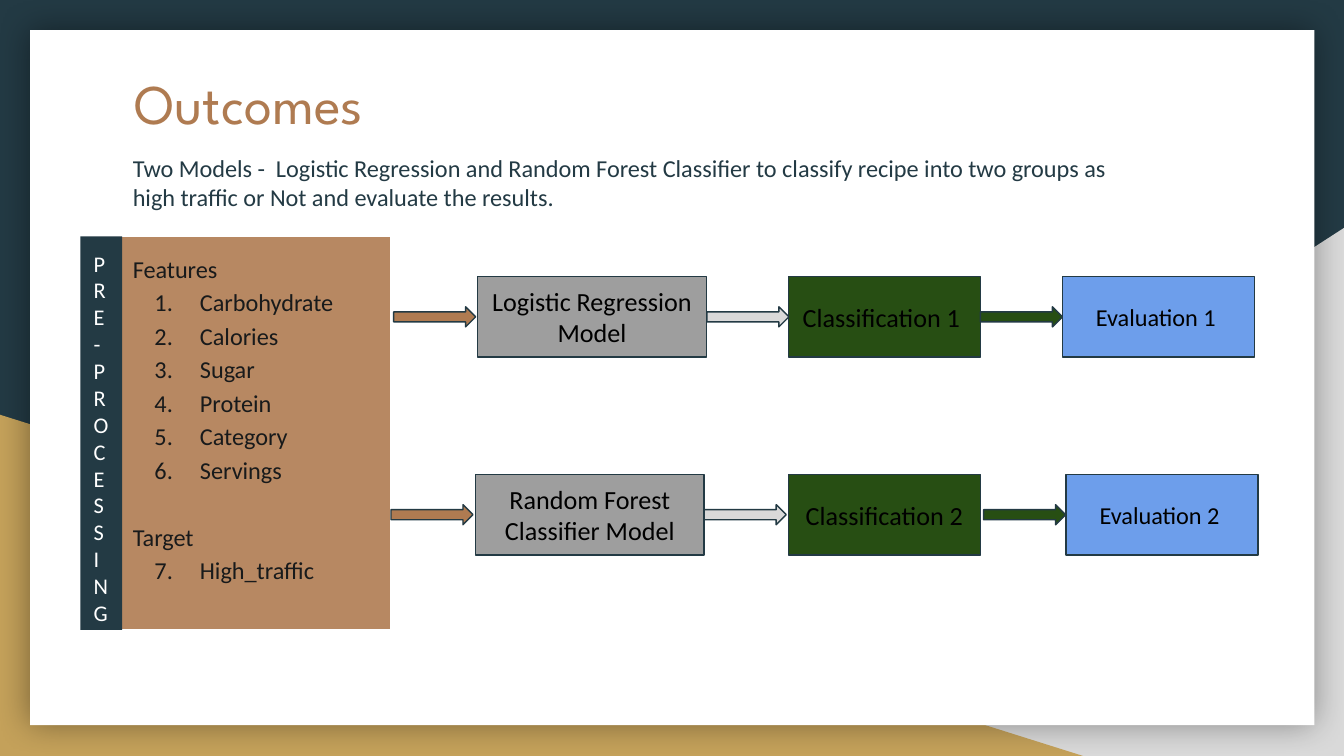
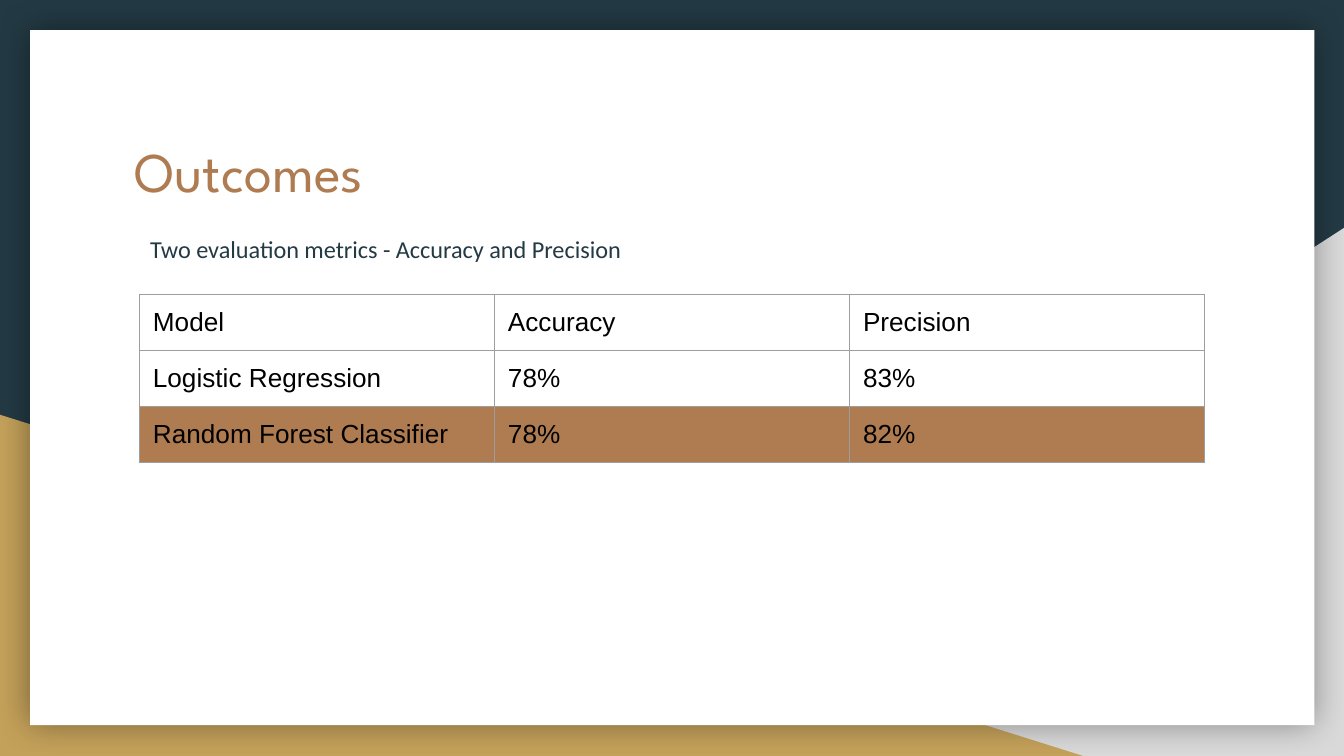
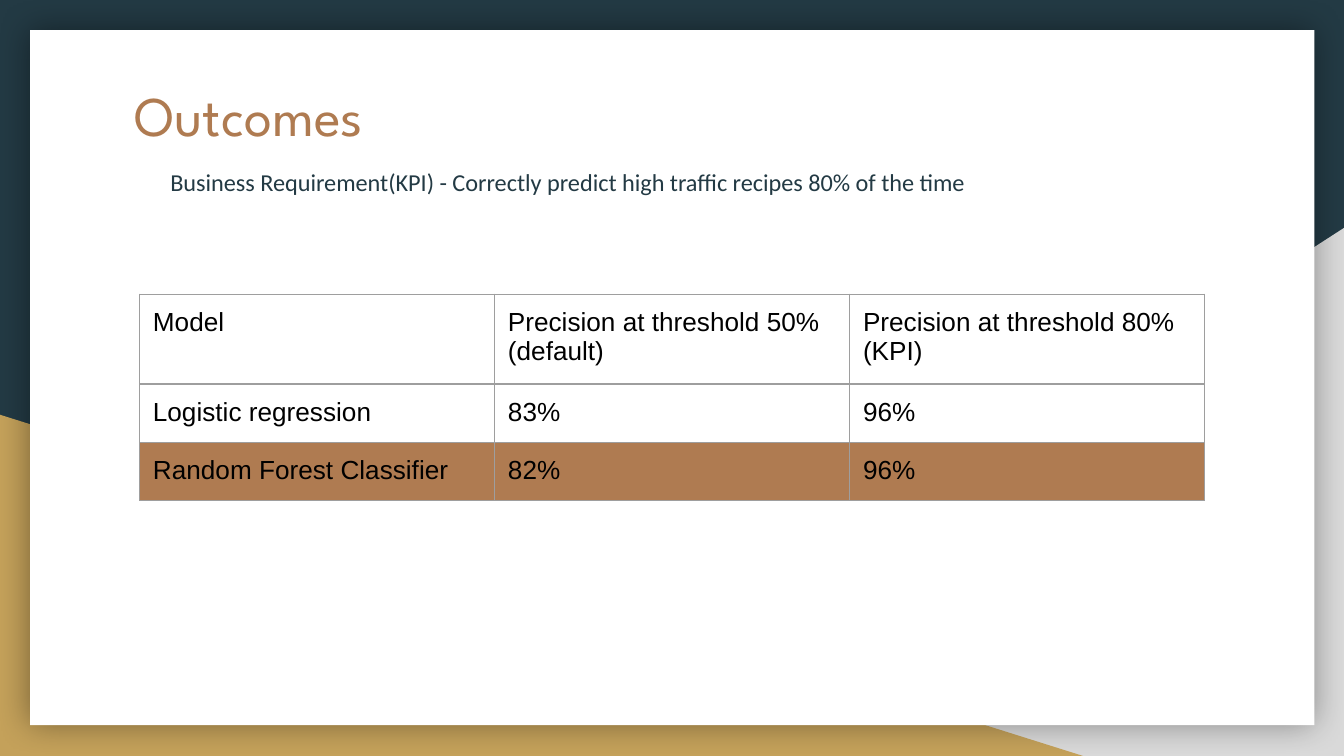
import dataclasses

import lxml.etree
import pptx
import pptx.dml.color
import pptx.enum.shapes
import pptx.enum.text
import pptx.oxml.ns
import pptx.util

Cm = pptx.util.Cm
Pt = pptx.util.Pt
qn = pptx.oxml.ns.qn
MSO_SHAPE = pptx.enum.shapes.MSO_SHAPE
ANCHOR = pptx.enum.text.MSO_ANCHOR
ALIGN = pptx.enum.text.PP_ALIGN

WIDTH, HEIGHT = 25.4, 14.29


@dataclasses.dataclass(frozen=True)
class Theme:
    navy: str = "233A44"
    copper: str = "AF7B51"
    light_copper: str = "B78862"
    gold: str = "C4A15A"
    light_grey: str = "D9D9D9"
    grey: str = "9E9E9E"
    green: str = "274E13"
    blue: str = "6D9EEB"
    white: str = "FFFFFF"
    black: str = "000000"
    ink: str = "181A1B"
    title_font: str = "League Spartan"
    body_font: str = "Calibri"
    table_font: str = "Arial"
    title_size: int = 30
    large: int = 14
    body: int = 13
    small: int = 12
    line: float = 0.75
    inset: float = 0.25


def rgb(color):
    return pptx.dml.color.RGBColor.from_string(color)


def add_xml(parent, tag, **attributes):
    return lxml.etree.SubElement(parent, qn(tag), attributes)


class Deck:
    def __init__(self, theme):
        self.theme = theme
        self.prs = pptx.Presentation()
        self.prs.slide_width, self.prs.slide_height = Cm(WIDTH), Cm(HEIGHT)
        self.layout = self.prs.slide_layouts[5]
        self.slide = None

    def add_slide(self, title, top):
        t = self.theme
        first = self.slide is None
        self.slide = self.prs.slides.add_slide(self.layout)
        if first:
            self.style_layout()
        sp = self.slide.shapes.title
        sp.left, sp.top, sp.width, sp.height = Cm(2.29), Cm(top), Cm(20.85), Cm(2.64)
        self.set_text(sp.text_frame, [title], t.title_size, t.copper, font=t.title_font)

    def style_layout(self):
        """Move the backdrop, drawn on the first slide, behind the layout's title."""
        t = self.theme
        for sp in list(self.layout.placeholders)[1:]:
            sp.element.getparent().remove(sp.element)
        fill = self.layout.background.fill
        fill.solid()
        fill.fore_color.rgb = rgb(t.navy)

        triangle = MSO_SHAPE.RIGHT_TRIANGLE
        right = self.shape(triangle, WIDTH - 15.44, HEIGHT - 9.98, 15.44, 9.98, t.light_grey)
        right.element.spPr.xfrm.set("flipH", "1")
        left = self.shape(triangle, 0, HEIGHT - 6.45, 20.47, 6.45, t.gold)
        card = self.shape(MSO_SHAPE.RECTANGLE, 0.57, 0.57, 24.27, 13.14, t.white)
        shadow = add_xml(card.element.spPr.find(qn("a:effectLst")), "a:outerShdw",
                         blurRad=str(Pt(18)), dist="0", dir="0", algn="ctr", rotWithShape="0")
        color = add_xml(shadow, "a:srgbClr", val=t.black)
        add_xml(color, "a:alpha", val="40000")
        for i, sp in enumerate((right, left, card)):
            self.layout.shapes.element.insert(2 + i, sp.element)

    def set_text(self, tf, lines, size, color, align=ALIGN.LEFT, anchor=ANCHOR.TOP, font=None):
        tf.word_wrap = True
        tf.auto_size = pptx.enum.text.MSO_AUTO_SIZE.NONE
        tf.vertical_anchor = anchor
        tf.margin_left = tf.margin_right = Cm(self.theme.inset)
        tf.margin_top = tf.margin_bottom = Cm(self.theme.inset)
        tf.text = "\n".join(lines)
        for p in tf.paragraphs:
            p.alignment = align
            self.set_font(p, size, color, font or self.theme.body_font)

    def set_font(self, p, size, color, name):
        p.font.size = Pt(size)
        p.font.name = name
        p.font.color.rgb = rgb(color)

    def shape(self, kind, x, y, w, h, fill, line=None):
        sp = self.slide.shapes.add_shape(kind, Cm(x), Cm(y), Cm(w), Cm(h))
        sp.shadow.inherit = False
        sp.fill.solid()
        sp.fill.fore_color.rgb = rgb(fill)
        if line:
            sp.line.color.rgb = rgb(line)
            sp.line.width = Pt(self.theme.line)
        else:
            sp.line.fill.background()
        return sp

    def box(self, x, y, w, h, fill, lines, size):
        sp = self.shape(MSO_SHAPE.RECTANGLE, x, y, w, h, fill, self.theme.navy)
        self.set_text(sp.text_frame, lines, size, self.theme.black, ALIGN.CENTER, ANCHOR.MIDDLE)

    def arrow(self, x, y, w, h, fill):
        self.shape(MSO_SHAPE.RIGHT_ARROW, x, y, w, h, fill, self.theme.navy)

    def text(self, x, y, w, h, line):
        sp = self.slide.shapes.add_textbox(Cm(x), Cm(y), Cm(w), Cm(h))
        self.set_text(sp.text_frame, [line], self.theme.body, self.theme.navy)

    def number(self, p, value):
        pPr = p._p.get_or_add_pPr()
        pPr.set("marL", str(Cm(1.27)))
        pPr.set("indent", str(-Cm(0.86)))
        color = lxml.etree.Element(qn("a:buClr"))
        add_xml(color, "a:srgbClr", val=self.theme.ink)
        bullet = lxml.etree.Element(qn("a:buAutoNum"), type="arabicPeriod")
        if value > 1:
            bullet.set("startAt", str(value))
        font = pPr.find(qn("a:defRPr"))
        font.addprevious(color)
        font.addprevious(bullet)

    def feature_panel(self, x, y, w, h, features, target):
        t = self.theme
        sp = self.shape(MSO_SHAPE.RECTANGLE, x, y, w, h, t.light_copper, t.white)
        self.set_text(sp.text_frame, ["Features", *features, "Target", target], t.body, t.ink)
        paragraphs = sp.text_frame.paragraphs
        for p in paragraphs:
            p.line_spacing = 1.15
        paragraphs[-2].space_before = Pt(18)
        for p in paragraphs[1:-2]:
            self.number(p, 1)
        self.number(paragraphs[-1], len(features) + 1)

    def table(self, rows, heights):
        """Table whose last row is highlighted."""
        t = self.theme
        columns = len(rows[0])
        column_width = 6.71
        frame = self.slide.shapes.add_table(len(rows), columns, Cm(2.64), Cm(5.56),
                                            Cm(column_width * columns), Cm(sum(heights)))
        table = frame.table
        table.first_row = table.horz_banding = False
        for column in table.columns:
            column.width = Cm(column_width)
        for i, (values, height) in enumerate(zip(rows, heights)):
            table.rows[i].height = Cm(height)
            for j, value in enumerate(values):
                cell = table.cell(i, j)
                cell.text = value
                cell.margin_left = cell.margin_right = Cm(t.inset)
                cell.margin_top = cell.margin_bottom = Cm(t.inset)
                self.set_font(cell.text_frame.paragraphs[0], t.large, t.black, t.table_font)
                self.border(cell)
                if i == len(rows) - 1:
                    cell.fill.solid()
                    cell.fill.fore_color.rgb = rgb(t.copper)
                else:
                    cell.fill.background()

    def border(self, cell):
        tcPr = cell._tc.get_or_add_tcPr()
        for side in ("a:lnL", "a:lnR", "a:lnT", "a:lnB"):
            ln = add_xml(tcPr, side, w=str(Pt(self.theme.line)))
            add_xml(add_xml(ln, "a:solidFill"), "a:srgbClr", val=self.theme.grey)


def add_pipeline_slide(deck):
    t = deck.theme
    deck.add_slide("Outcomes", 1.04)
    deck.text(2.26, 2.64, 19.58, 1.65,
              "Two Models -  Logistic Regression and Random Forest Classifier to classify "
              "recipe into two groups as high traffic or Not and evaluate the results.")
    panel_top, panel_height = 4.47, 7.44
    deck.feature_panel(2.26, panel_top, 5.13, panel_height,
                       ["Carbohydrate", "Calories", "Sugar", "Protein", "Category", "Servings"],
                       "High_traffic")
    bar = deck.shape(MSO_SHAPE.RECTANGLE, 1.52, panel_top, 0.79, panel_height, t.navy)
    deck.set_text(bar.text_frame, ["PRE-PROCESSING"], t.small, t.white)

    box_height, arrow_width, arrow_height = 1.52, 1.55, 0.38
    # Each stage: arrow fill, box fill, box width, type size
    stages = [(t.copper, t.grey, 4.32, t.large),
              (t.light_grey, t.green, 3.63, t.large),
              (t.green, t.blue, 3.63, t.body)]
    # Each flow: top, then arrow left, box left and box lines for every stage
    flows = [(5.23, [(7.44, 9.03, ["Logistic Regression", "Model"]),
                     (13.36, 14.9, ["Classification 1 "]),
                     (18.53, 20.08, ["Evaluation 1 "])]),
             (8.97, [(7.39, 8.99, ["Random Forest Classifier Model"]),
                     (13.31, 14.9, ["Classification 2"]),
                     (18.59, 20.15, ["Evaluation 2 "])])]
    for top, steps in flows:
        arrow_top = top + (box_height - arrow_height) / 2
        for (arrow_fill, fill, width, size), (arrow_x, box_x, lines) in zip(stages, steps):
            deck.box(box_x, top, width, box_height, fill, lines, size)
            deck.arrow(arrow_x, arrow_top, arrow_width, arrow_height, arrow_fill)


def add_metrics_slide(deck):
    deck.add_slide("Outcomes", 2.34)
    deck.table([["Model", "Accuracy", "Precision"],
                ["Logistic Regression", "78%", "83%"],
                ["Random Forest Classifier", "78%", "82%"]], [1.06] * 3)
    deck.text(2.59, 4.17, 18.8, 1.09, "Two evaluation metrics - Accuracy and Precision")


def add_kpi_slide(deck):
    deck.add_slide("Outcomes", 1.27)
    deck.text(2.97, 2.92, 16.97, 1.07,
              "Business Requirement(KPI) - Correctly predict high traffic recipes 80% of the time")
    deck.table([["Model", "Precision at threshold 50%(default)", "Precision at threshold 80%(KPI)"],
                ["Logistic regression", "83%", "96%"],
                ["Random Forest Classifier", "82%", "96%"]], [1.7, 1.1, 1.1])


def main():
    deck = Deck(Theme())
    add_pipeline_slide(deck)
    add_metrics_slide(deck)
    add_kpi_slide(deck)
    deck.prs.save("out.pptx")


if __name__ == "__main__":
    main()
